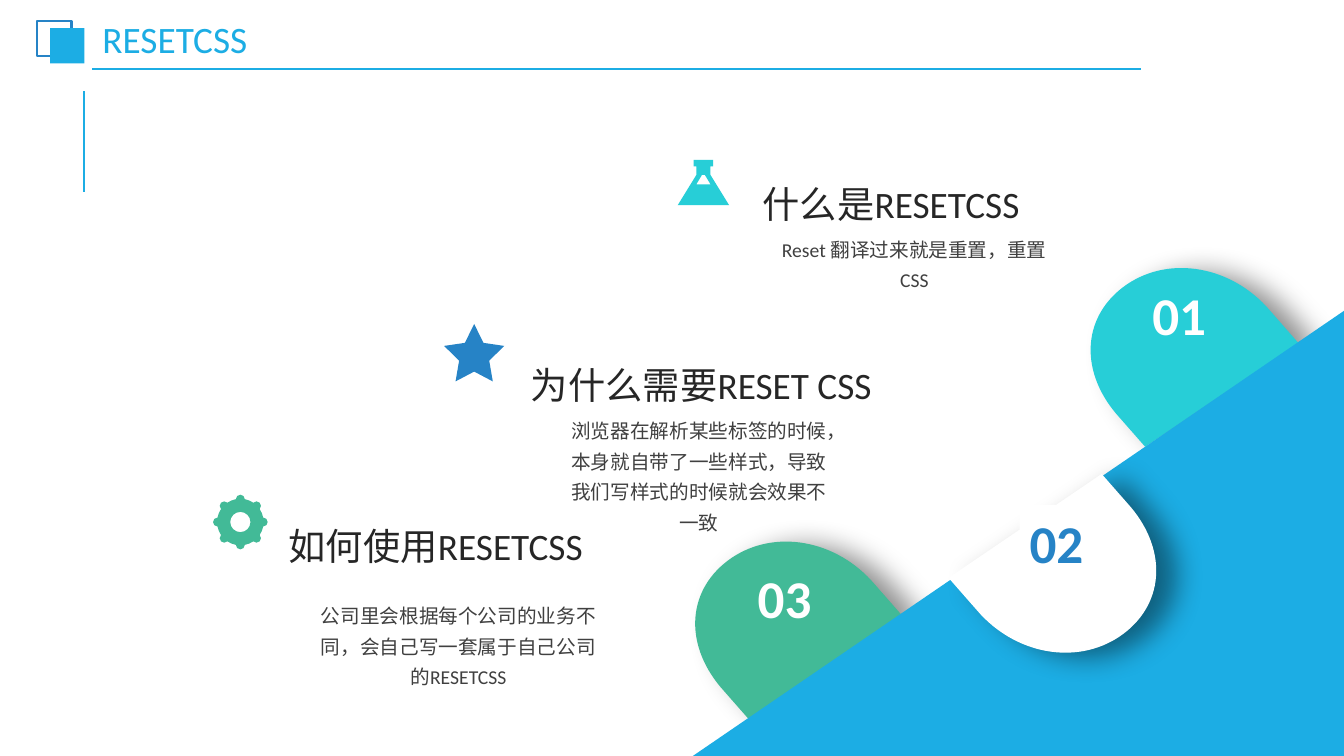
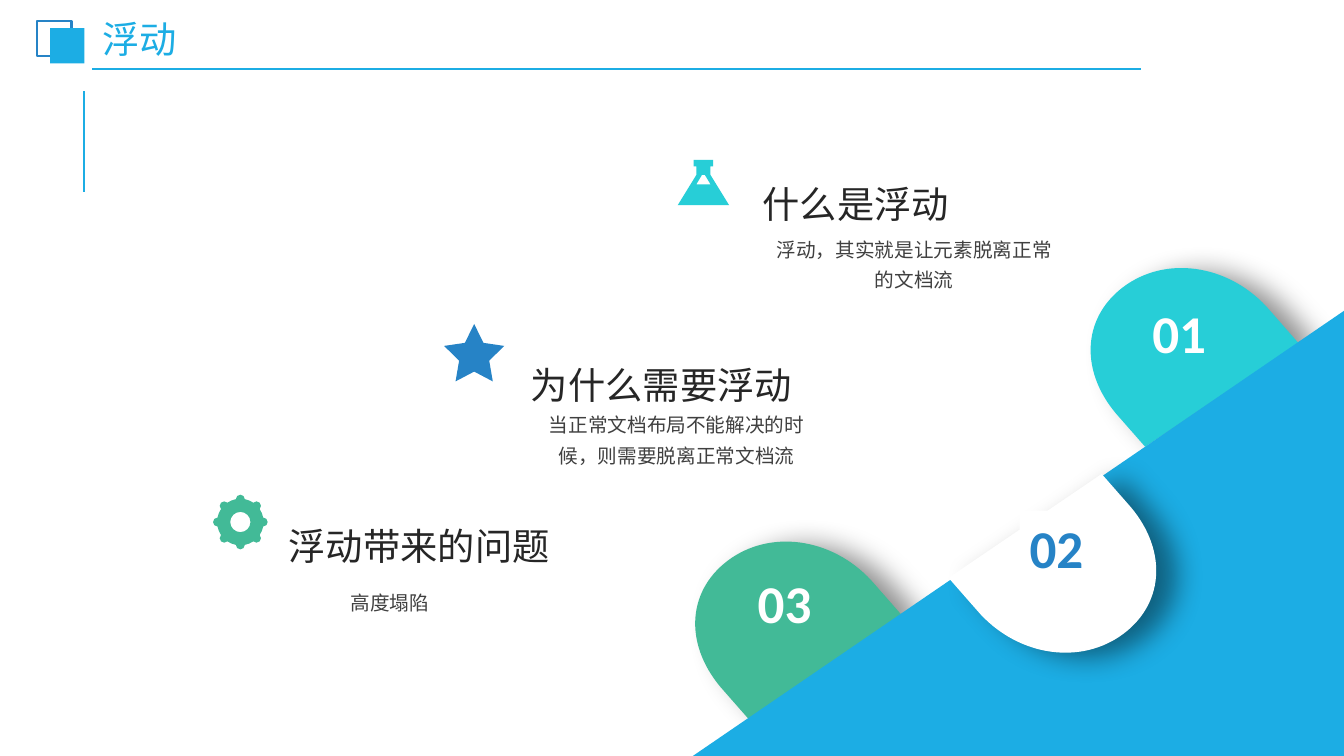
import math
from collections import namedtuple

from lxml import etree
from pptx import Presentation
from pptx.dml.color import RGBColor
from pptx.enum.shapes import MSO_CONNECTOR, MSO_SHAPE
from pptx.enum.text import MSO_ANCHOR, MSO_AUTO_SIZE, PP_ALIGN
from pptx.oxml.ns import qn
from pptx.util import Pt

STRAIGHT = MSO_CONNECTOR.STRAIGHT
RECTANGLE, STAR = MSO_SHAPE.RECTANGLE, MSO_SHAPE.STAR_5_POINT
MIDDLE, TOP = MSO_ANCHOR.MIDDLE, MSO_ANCHOR.TOP
GROW = MSO_AUTO_SIZE.SHAPE_TO_FIT_TEXT
LEFT, CENTER, JUSTIFY = PP_ALIGN.LEFT, PP_ALIGN.CENTER, PP_ALIGN.JUSTIFY

SKY = RGBColor(0x1C, 0xAD, 0xE4)
BLUE = RGBColor(0x26, 0x83, 0xC6)
CYAN = RGBColor(0x27, 0xCE, 0xD7)
GREEN = RGBColor(0x42, 0xBA, 0x97)
WHITE = RGBColor(0xFF, 0xFF, 0xFF)
HEADING_INK = RGBColor(0x26, 0x26, 0x26)
BODY_INK = RGBColor(0x40, 0x40, 0x40)

FONT = "Calibri"
WIDTH, HEIGHT = 959.4, 539.4
TILT = 7.6
HEADING_SPOTS = [(537.4, 119.5), (372, 248.4), (199, 363.2)]
NUMBER_LEFTS = [815.5, 727.9, 533.8]
NUMBER_INKS = [WHITE, BLUE, WHITE]

Topic = namedtuple("Topic", "heading heading_width body body_box number_top")

SLIDES = [
    ("RESETCSS", 46, [
        Topic("什么是RESETCSS", 247, "Reset 翻译过来就是重置，重置CSS",
              (544, 161.3, 217.4, 49), 198),
        Topic("为什么需要RESET CSS", 342.7,
              "浏览器在解析某些标签的时候，本身就自带了一些样式，导致我们写样式的时候就会效果不一致",
              (400, 290.6, 198, 93), 360.3),
        Topic("如何使用RESETCSS", 307.4,
              "公司里会根据每个公司的业务不同，会自己写一套属于自己公司的RESETCSS",
              (221.8, 422.6, 211, 71), 399.6),
    ]),
    ("浮动", 43, [
        Topic("什么是浮动", 236.9, "浮动，其实就是让元素脱离正常的文档流",
              (544, 161.3, 217.4, 49), 211),
        Topic("为什么需要浮动", 244.8, "当正常文档布局不能解决的时候，则需要脱离正常文档流",
              (384, 286.6, 198, 49), 364.3),
        Topic("浮动带来的问题", 255.6, "高度塌陷",
              (172.8, 413.3, 211, 27), 403.2),
    ]),
]


def points(values):
    """Convert numbers in points to lengths."""
    return [Pt(value) for value in values]


def paint(shape, fill=None, line=None):
    """Set the fill and outline of a shape and remove its shadow."""
    shape.shadow.inherit = False
    if fill is None:
        shape.fill.background()
    else:
        shape.fill.solid()
        shape.fill.fore_color.rgb = fill
    if line is None:
        shape.line.fill.background()
    else:
        shape.line.color.rgb = line
        shape.line.width = Pt(1.5)
    return shape


def add_outline(page, origin, contours, fill):
    """Draw contours of one-point lines and three-point curves as a freeform."""
    builder = None
    for contour in contours:
        spots = [points((origin[0] + x, origin[1] + y))
                 for segment in contour for x, y in segment]
        if builder is None:
            builder = page.shapes.build_freeform(*spots[0])
        else:
            builder.move_to(*spots[0])
        builder.add_line_segments(spots[1:], close=False)
    shape = paint(builder.convert_to_shape(), fill)
    geometry = next(shape._element.spPr.iter(qn("a:path")))
    steps = iter(list(geometry))
    for contour in contours:
        for segment in contour:
            step = next(steps)
            if len(segment) == 3:
                step.tag = qn("a:cubicBezTo")
                for _ in range(2):
                    extra = next(steps)
                    step.append(extra[0])
                    geometry.remove(extra)
        step.addnext(etree.Element(qn("a:close")))
    return shape


def polygon(*corners):
    """Make a contour of straight lines."""
    return [[corner] for corner in corners]


def add_rule(page, start, end, width):
    """Draw a straight sky-blue line."""
    rule = page.shapes.add_connector(STRAIGHT, *points(start + end))
    rule.line.color.rgb = SKY
    rule.line.width = Pt(width)
    etree.SubElement(rule._element.spPr, qn("a:effectLst"))


def write(shape, text, size, ink, align=LEFT, spacing=None, bold=False,
          margins=(7.2, 3.6), anchor=TOP, grow=True):
    """Put one styled paragraph into a shape."""
    frame = shape.text_frame
    frame.word_wrap = True
    frame.vertical_anchor = anchor
    frame.margin_left = frame.margin_right = Pt(margins[0])
    frame.margin_top = frame.margin_bottom = Pt(margins[1])
    if grow:
        frame.auto_size = GROW
    para = frame.paragraphs[0]
    para.text = text
    para.alignment = align
    if spacing:
        para.line_spacing = spacing
    para.font.name = FONT
    para.font.size = Pt(size)
    para.font.bold = bold
    para.font.color.rgb = ink


def add_label(page, box, *args, **style):
    """Add a text box holding one styled paragraph."""
    write(page.shapes.add_textbox(*points(box)), *args, **style)


def add_header(page, title):
    """Draw the rules, the paired squares and the slide title."""
    add_rule(page, (60, 136.8), (60, 64.8), 1.5)
    add_rule(page, (65.9, 49), (814.3, 49), 1.25)
    squares = page.shapes.add_group_shape().shapes
    for left, top, fill, line in [(26.6, 15, None, BLUE), (35.8, 20, SKY, None)]:
        box = points((left, top, 24.5, 25.2))
        paint(squares.add_shape(RECTANGLE, *box), fill, line)
    add_label(page, (68.2, 16.6, 283, 26.6), title, 26.6, SKY, spacing=0.9,
              margins=(5, 2.9), anchor=MIDDLE, grow=False)


def add_petal(page, center, angle, fill):
    """Draw a shadowed, round-ended petal turned about its center."""
    contour = [[(0, 88)], [(23.1, 108.2)],
               [(54.1, 136), (98.7, 138), (126.6, 113.2)],
               [(155.2, 87.6), (152.9, 48.7), (122.3, 20.8)],
               [(98.5, 0)]]
    origin = (center[0] - 77.6, center[1] - 69)
    petal = add_outline(page, origin, [contour], fill)
    petal.rotation = angle
    effects = petal._element.spPr.find(qn("a:effectLst"))
    shadow = etree.SubElement(effects, qn("a:outerShdw"), blurRad=str(Pt(20)),
                              dist=str(Pt(15)), dir=str(12 * 60000),
                              algn="ctr", rotWithShape="0")
    color = etree.SubElement(shadow, qn("a:srgbClr"), val="000000")
    etree.SubElement(color, qn("a:alpha"), val="43000")


def add_slope(page):
    """Draw the blue corner and the three petals along its edge."""
    add_petal(page, (847.3, 253.1), 180 + TILT, CYAN)
    add_petal(page, (565, 448.3), 180 + TILT, GREEN)
    corner = polygon((0, 317.6), (464.8, 317.6), (464.8, 0))
    add_outline(page, (WIDTH - 464.8, HEIGHT - 317.6), [corner], SKY)
    add_petal(page, (756.6, 403.8), TILT, WHITE)


def add_flask(page, origin):
    """Draw the flask icon from its top left corner."""
    glass = polygon((0, 32.4), (36.7, 32.4), (23.4, 10.8), (23.4, 4.7),
                    (25.3, 4.7), (25.3, 0), (11.4, 0), (11.4, 4.7),
                    (13.3, 4.7), (13.3, 10.8))
    window = polygon((17.3, 10.8), (19.4, 10.8), (23.4, 17.5), (13.3, 17.5))
    add_outline(page, origin, [glass, window], CYAN)


def add_star(page, box):
    """Draw the star icon in its box."""
    star = paint(page.shapes.add_shape(STAR, *points(box)), BLUE)
    star.adjustments[0] = 0.25


def polar(center, radius, degrees):
    """Find a point at a distance and angle from a center."""
    angle = math.radians(degrees)
    return (center[0] + radius * math.cos(angle),
            center[1] + radius * math.sin(angle))


def arc(center, radius, start, sweep):
    """Make a curve that follows a circle."""
    pull = 4 / 3 * math.tan(math.radians(sweep / 4)) * radius
    first, last = (polar(center, radius, turn) for turn in (start, start + sweep))
    return [polar(first, pull, start + 90),
            polar(last, pull, start + sweep - 90), last]


def add_gear(page, center):
    """Draw the gear icon with eight round teeth and a hole."""
    hub, rim, tooth, hole = (0, 0), 16.3, 3.2, 7.2
    reach = math.hypot(rim, tooth)
    half = math.degrees(math.atan2(tooth, rim))
    outline = [[polar(hub, reach, -half)]]
    for heading in range(0, 360, 45):
        middle = polar(hub, rim, heading)
        outline += [arc(middle, tooth, heading - 90, 90),
                    arc(middle, tooth, heading, 90),
                    arc(hub, reach, heading + half, 45 - 2 * half)]
    ring = [[(hole, 0)]]
    ring += [arc(hub, hole, -turn, -90) for turn in range(0, 360, 90)]
    add_outline(page, center, [outline, ring], GREEN)


def add_icons(page):
    """Draw the three topic icons."""
    add_flask(page, (483.8, 114))
    add_star(page, (317, 231.2, 43, 41))
    add_gear(page, (171.6, 372.5))


def add_topic(page, topic, spot, height):
    """Write a topic's body and heading."""
    add_label(page, topic.body_box, topic.body, 14, BODY_INK, CENTER, 1.3,
              margins=(6.5, 3.2))
    add_label(page, spot + (topic.heading_width, height), topic.heading, 26.6,
              HEADING_INK, JUSTIFY, 1.2)


def add_number(page, index, top):
    """Write a petal's number, on a white block where the petal is white."""
    ink = NUMBER_INKS[index]
    box = points((NUMBER_LEFTS[index], top, 64, 53.3))
    if ink == WHITE:
        holder = page.shapes.add_textbox(*box)
    else:
        holder = paint(page.shapes.add_shape(RECTANGLE, *box), WHITE)
    write(holder, f"{index + 1:02d}", 37.9, ink, bold=True)


def add_topics_slide(deck, title, heading_height, topics):
    """Build one slide of three topics."""
    page = deck.slides.add_slide(deck.slide_layouts[6])
    add_header(page, title)
    add_slope(page)
    add_icons(page)
    for topic, spot in zip(topics, HEADING_SPOTS):
        add_topic(page, topic, spot, heading_height)
    for index, topic in enumerate(topics):
        add_number(page, index, topic.number_top)


def main():
    """Build and save the deck."""
    deck = Presentation()
    deck.slide_width, deck.slide_height = Pt(WIDTH), Pt(HEIGHT)
    for title, heading_height, topics in SLIDES:
        add_topics_slide(deck, title, heading_height, topics)
    deck.save("out.pptx")


if __name__ == "__main__":
    main()
